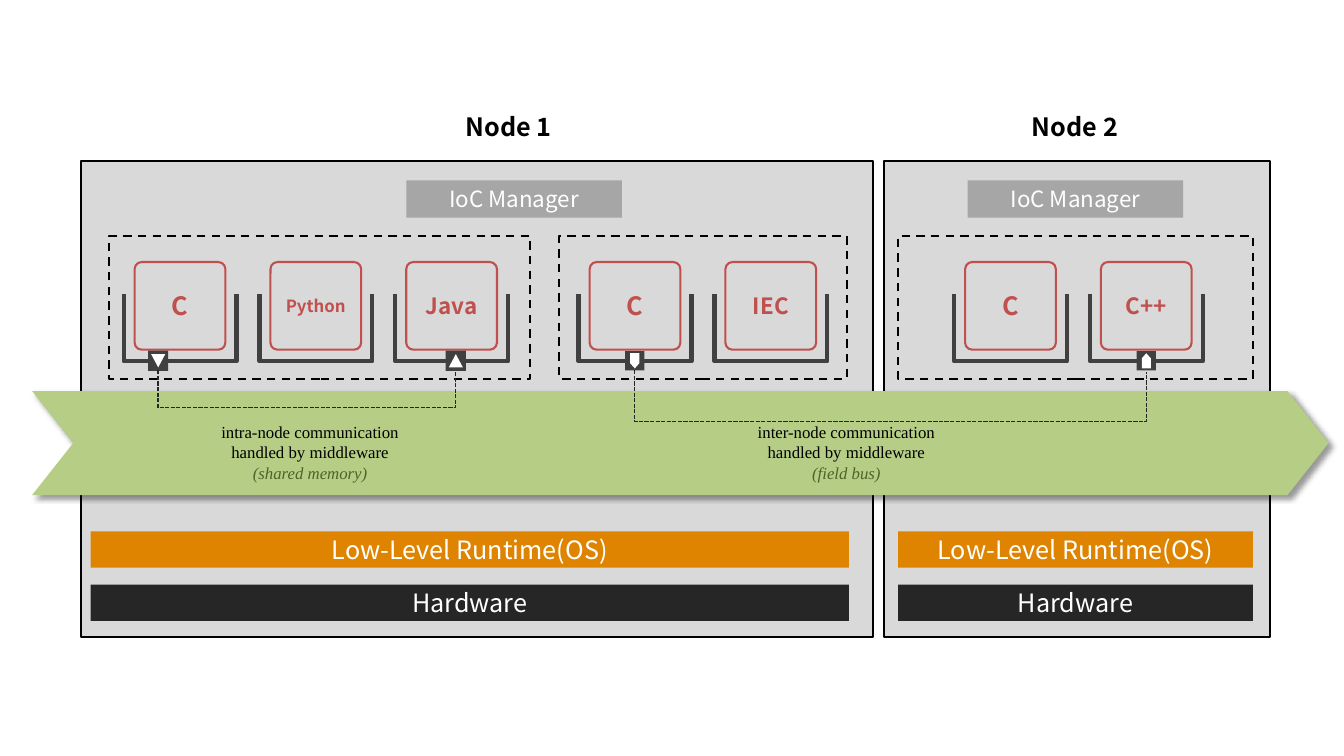
from lxml import etree
from pptx import Presentation
from pptx.dml.color import RGBColor
from pptx.enum import dml, shapes, text
from pptx.oxml import ns
from pptx.util import Pt

SANS, SERIF = "Noto Sans CJK SC", "Times New Roman"
KIND = shapes.MSO_SHAPE
RED, DARK, WHITE, BLACK = "C0504D", "404040", "FFFFFF", "000000"
PITCH, CARD_TOP, CARD_WIDTH, CARD_HEIGHT = 97, 187.2, 64.8, 62.6
PORT_Y = 257.7


def color(value):
    return RGBColor.from_string(value)


def add_xml(parent, tag, **attributes):
    child = etree.SubElement(parent, ns.qn(tag))
    for name, value in attributes.items():
        child.set(name, str(value))
    return child


def add_box(owner, kind, frame, fill=None, line=None, weight=1.5, dash=None, adjust=None, turn=0):
    box = owner.shapes.add_shape(kind, *map(Pt, frame))
    box.shadow.inherit = False
    box.rotation = turn
    if adjust is not None:
        box.adjustments[0] = adjust
    if fill:
        box.fill.solid()
        box.fill.fore_color.rgb = color(fill)
    else:
        box.fill.background()
    if line:
        box.line.color.rgb = color(line)
        box.line.width = Pt(weight)
        box.line.dash_style = dash
    else:
        box.line.fill.background()
    return box


def write(box, lines, size, font=SANS, bold=False):
    """Fill a box with centred paragraphs given as (words, colour, italic)."""
    frame = box.text_frame
    frame.word_wrap = True
    frame.vertical_anchor = text.MSO_ANCHOR.MIDDLE
    frame.margin_left = frame.margin_right = frame.margin_top = frame.margin_bottom = 0
    for index, (words, tint, italic) in enumerate(lines):
        para = frame.paragraphs[0] if index == 0 else frame.add_paragraph()
        para.alignment = text.PP_ALIGN.CENTER
        span = para.add_run()
        span.text = words
        span.font.name = font
        span.font.size = Pt(size)
        span.font.bold = bold
        span.font.italic = italic
        span.font.color.rgb = color(tint)


def add_label(page, frame, lines, size, font=SANS, bold=False):
    write(page.shapes.add_textbox(*map(Pt, frame)), lines, size, font, bold)


def add_bar(page, frame, words, fill, size):
    write(add_box(page, KIND.RECTANGLE, frame, fill), [(words, WHITE, False)], size)


def add_node(page, left, width, bar_left, bar_width, manager_left, title, title_left):
    add_box(page, KIND.ROUNDED_RECTANGLE, (left, 115.2, width, 340), "D9D9D9", BLACK, adjust=0)
    add_bar(page, (bar_left, 379.5, bar_width, 26), "Low-Level Runtime(OS)", "DE8400", 18)
    add_bar(page, (bar_left, 417.6, bar_width, 26), "Hardware", "262626", 18)
    add_bar(page, (manager_left, 128.9, 154, 26.6), "IoC Manager", "A6A6A6", 16)
    add_label(page, (title_left, 75.6, 107.3, 29), [(title, BLACK, False)], 18, bold=True)


def add_component(page, left, name, size):
    """Draw a language card seated in its bracket socket."""
    depth, span = 48.2, 80.6
    middle = left + CARD_WIDTH / 2
    socket = (middle - depth / 2, 234 - span / 2, depth, span)
    add_box(page, KIND.LEFT_BRACKET, socket, line=DARK, weight=3, adjust=0, turn=270)
    card = add_box(page, KIND.ROUNDED_RECTANGLE, (left, CARD_TOP, CARD_WIDTH, CARD_HEIGHT),
                   line=RED, adjust=0.08)
    write(card, [(name, RED, False)], size, bold=True)


def add_group(page, left, width, first, components):
    add_box(page, KIND.RECTANGLE, (left, 168.5, width, 102.2), line=BLACK,
            dash=dml.MSO_LINE.DASH)
    for index, (name, size) in enumerate(components):
        add_component(page, first + index * PITCH, name, size)


def add_middleware(page):
    arrow = add_box(page, KIND.CHEVRON, (23, 279.4, 926, 74.2), "B5CD85", adjust=0.395)
    effects = arrow.element.spPr.find(ns.qn("a:effectLst"))
    shadow = add_xml(effects, "a:outerShdw", blurRad=Pt(4), dist=Pt(3), dir=45 * 60000,
                     algn="tl", rotWithShape=0)
    add_xml(add_xml(shadow, "a:srgbClr", val=BLACK), "a:alpha", val=40000)


def add_port(page, x, size, kind, width, height, turn, adjust=None):
    port = page.shapes.add_group_shape()
    add_box(port, KIND.RECTANGLE, (x - size / 2, PORT_Y - size / 2, size, size), DARK)
    add_box(port, kind, (x - width / 2, PORT_Y - height / 2, width, height), WHITE,
            adjust=adjust, turn=turn)


def add_link(page, start, end, drop):
    """Join two ports with a U-shaped elbow hanging below them."""
    top, thin = 265, 1
    middle, span = (start + end) / 2, end - start
    link = page.shapes.add_connector(
        shapes.MSO_CONNECTOR.ELBOW, Pt(middle + thin / 2), Pt(top - span / 2),
        Pt(middle - thin / 2), Pt(top + span / 2))
    link.line.color.rgb = color("262626")
    link.line.width = Pt(1)
    link.line.dash_style = dml.MSO_LINE.SQUARE_DOT
    properties = link.element.spPr
    properties.find(ns.qn("a:xfrm")).set("rot", str(270 * 60000))
    guides = properties.find(ns.qn("a:prstGeom")).find(ns.qn("a:avLst"))
    add_xml(guides, "a:gd", name="adj1", fmla=f"val {round(drop / thin * 100000)}")
    add_xml(properties, "a:effectLst")


def add_caption(page, left, width, scope, medium):
    lines = [(f"{scope} communication", BLACK, False), ("handled by middleware", BLACK, False),
             (f"({medium})", "4F6228", True)]
    add_label(page, (left, 299, width, 48), lines, 12, SERIF)


def main():
    deck = Presentation()
    deck.slide_width, deck.slide_height = Pt(960), Pt(540)
    page = deck.slides.add_slide(deck.slide_layouts[6])

    add_node(page, 57.6, 566, 64.8, 541.5, 290.2, "Node 1", 309.6)
    add_node(page, 631.5, 275.8, 641.5, 253.5, 691.2, "Node 2", 714.2)
    add_group(page, 77.8, 301, 96.2, [("C", 18), ("Python", 12), ("Java", 16)])
    add_group(page, 399.6, 205.2, 421.2, [("C", 18), ("IEC", 16)])
    add_group(page, 641.5, 253.5, 689.4, [("C", 18), ("C++", 16)])
    add_middleware(page)

    shared_ports, bus_ports = (113, 325.6), (453.4, 818.8)
    for x, turn in zip(shared_ports, (180, 0)):
        add_port(page, x, 14.4, KIND.ISOSCELES_TRIANGLE, 10, 9.4, turn)
    for x, turn in zip(bus_ports, (90, 270)):
        add_port(page, x, 13.7, KIND.PENTAGON, 10.8, 6.5, turn, 0.56)
    add_link(page, *shared_ports, 27)
    add_link(page, *bus_ports, 37)
    add_caption(page, 74.3, 294.5, "intra-node", "shared memory")
    add_caption(page, 429.6, 350, "inter-node", "field bus")
    deck.save("out.pptx")


if __name__ == "__main__":
    main()
